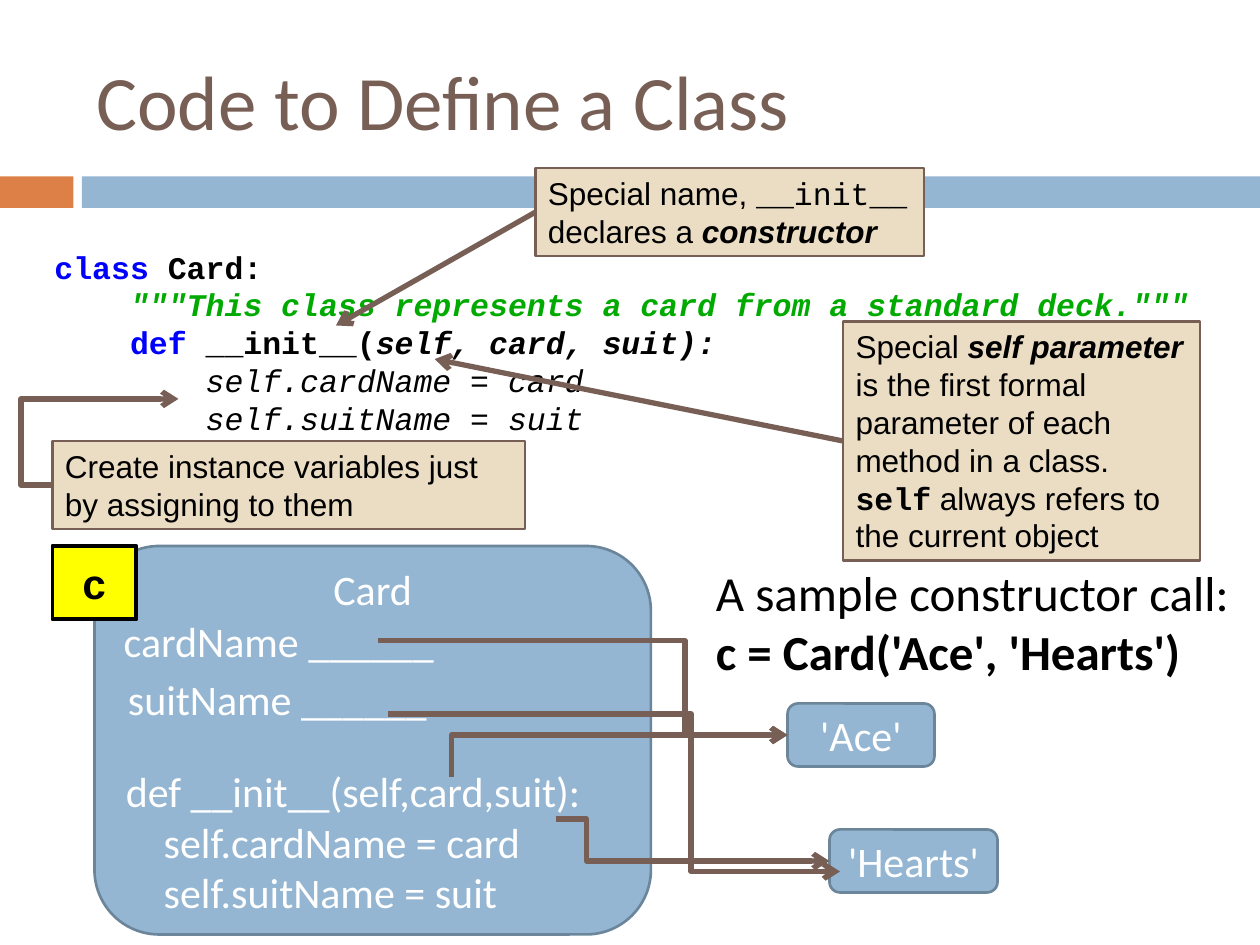
from dataclasses import dataclass

from lxml import etree
from pptx import Presentation
from pptx import util as u
from pptx.dml.color import RGBColor
from pptx.enum import shapes, text
from pptx.oxml.ns import qn

PX = 7620


@dataclass(frozen=True)
class Theme:
    """Colours, fonts and type sizes of the slide."""
    brown: str = "775F55"
    orange: str = "DD8047"
    blue: str = "94B6D2"
    edge: str = "6B859A"
    sand: str = "EBDDC3"
    yellow: str = "FFFF00"
    key: str = "0000FF"
    doc: str = "00AA00"
    black: str = "000000"
    white: str = "FFFFFF"
    head: str = "Calibri"
    body: str = "Arial"
    mono: str = "Courier New"
    huge: int = 44
    big: int = 28
    mid: int = 24
    small: int = 18


T = Theme()
KIND = shapes.MSO_SHAPE
LEFT, MID = text.PP_ALIGN.LEFT, text.PP_ALIGN.CENTER


def px(*nums):
    """Turn px lengths into EMU."""
    return [u.Emu(n * PX) for n in nums]


def inner(box, x, y, w, h):
    """Place a part relative to the corner of a box."""
    return box[0] + x, box[1] + y, w, h


def write(frame, paras, font, size, color, align=LEFT, mid=False):
    """Fill a frame with paragraphs made of (text, marks, colour) runs."""
    frame.word_wrap = True
    frame.vertical_anchor = text.MSO_ANCHOR.MIDDLE if mid else text.MSO_ANCHOR.TOP
    for n, runs in enumerate(paras):
        para = frame.add_paragraph() if n else frame.paragraphs[0]
        para.alignment = align
        for words, marks, *tint in runs:
            if words == "\n":
                para.add_line_break()
                continue
            run = para.add_run()
            run.text = words
            run.font.name = T.mono if "m" in marks else font
            run.font.size = u.Pt(size)
            run.font.bold = "b" in marks
            run.font.italic = "i" in marks
            run.font.color.rgb = RGBColor.from_string(tint[0] if tint else color)


def indent(para, gap):
    """Indent a paragraph by px."""
    para._p.get_or_add_pPr().set("marL", str(gap * PX))


def label(slide, box, paras, *style, **opts):
    """Add a text box and return its frame."""
    frame = slide.shapes.add_textbox(*px(*box)).text_frame
    write(frame, paras, *style, **opts)
    return frame


def block(slide, box, fill, line=None, width=1.5, kind=KIND.RECTANGLE):
    """Add a flat filled shape."""
    shape = slide.shapes.add_shape(kind, *px(*box))
    shape.shadow.inherit = False
    shape.fill.solid()
    shape.fill.fore_color.rgb = RGBColor.from_string(fill)
    if line:
        shape.line.color.rgb = RGBColor.from_string(line)
        shape.line.width = u.Pt(width)
    else:
        shape.line.fill.background()
    return shape


def arrow(slide, start, end, bend=None):
    """Add a straight arrow, or an elbow one bent at a share of its width."""
    form = shapes.MSO_CONNECTOR
    kind = form.STRAIGHT if bend is None else form.ELBOW
    link = slide.shapes.add_connector(kind, *px(*start, *end))
    link.line.color.rgb = RGBColor.from_string(T.brown)
    link.line.width = u.Pt(3)
    prop = link._element.spPr
    etree.SubElement(prop.find(qn("a:ln")), qn("a:tailEnd"), type="arrow")
    etree.SubElement(prop, qn("a:effectLst"))
    if bend is not None:
        geom = prop.find(qn("a:prstGeom"))
        vals = geom.find(qn("a:avLst"))
        if vals is None:
            vals = etree.SubElement(geom, qn("a:avLst"))
        etree.SubElement(vals, qn("a:gd"), name="adj1", fmla=f"val {round(bend * 100000)}")
    return link


def header(slide, box):
    """Draw the title and the two bars beneath it."""
    block(slide, inner(box, 0, 168, 70, 30), T.orange)
    block(slide, inner(box, 78, 168, box[2] - 78, 30), T.blue)
    label(slide, inner(box, 80, 30, 1070, 130), [[("Code to Define a Class", "")]],
          T.head, T.huge, T.brown, mid=True)


def code(slide, box):
    """Write the class listing."""
    lines = [
        (0, [("class ", "b", T.key), ("Card:", "b")]),
        (1, [('"""This class represents a card from a standard deck."""', "bi", T.doc)]),
        (1, [("def ", "b", T.key), ("__init__(", "b"), ("self, card, suit):", "bi")]),
        (2, [("self.cardName = card", "i")]),
        (2, [("self.suitName = suit", "i")]),
    ]
    frame = label(slide, box, [runs for _, runs in lines], T.mono, T.small, T.black)
    for para, (level, _) in zip(frame.paragraphs, lines):
        indent(para, level * 72)


def note(slide, box, runs, tip, bend=None):
    """Draw a callout with an arrow from its left side to a tip."""
    shape = block(slide, box, T.sand, T.brown)
    write(shape.text_frame, [runs], T.body, T.small, T.black)
    link = arrow(slide, (box[0], box[1] + box[3] // 2), tip, bend)
    if bend is None:
        link.begin_connect(shape, 1)


def pill(slide, box, paras, align=MID):
    """Draw a rounded blue box with text and return its frame."""
    shape = block(slide, box, T.blue, T.edge, kind=KIND.ROUNDED_RECTANGLE)
    write(shape.text_frame, paras, T.head, T.mid, T.white, align, mid=True)
    return shape.text_frame


def model(slide, box):
    """Draw the Card object, its values and the links between them."""
    lines = ["Card", "def __init__(self,card,suit):",
             "self.cardName = card", "self.suitName = suit"]
    frame = pill(slide, inner(box, 40, 0, 530, 370), [[(line, "")] for line in lines], LEFT)
    name, init, *steps = frame.paragraphs
    name.alignment = MID
    init.space_before = u.Pt(87)
    for step in steps:
        indent(step, 36)
    pill(slide, inner(box, 700, 150, 140, 60), [[("'Ace'", "")]])
    pill(slide, inner(box, 740, 270, 160, 60), [[("'Hearts'", "")]])
    for words, x, y in (("cardName ______", 56, 60), ("suitName ______", 60, 116)):
        label(slide, inner(box, x, y, 336, 60), [[(words, "")]], T.head, T.mid, T.white)
    for x, y, right, low, bend in ((380, 220, 700, 180, 0), (480, 260, 740, 300, 0.11),
                                   (310, 90, 700, 180, 0.75), (320, 160, 750, 310, 0.67)):
        arrow(slide, (box[0] + x, box[1] + y), (box[0] + right, box[1] + low), bend)
    badge = block(slide, inner(box, 0, 0, 80, 70), T.yellow, T.black, 2.25)
    write(badge.text_frame, [[("c", "b")]], T.mono, T.mid, T.black, MID, True)


def main():
    """Build and save the slide."""
    deck = Presentation()
    deck.slide_width, deck.slide_height = px(1200, 900)
    slide = deck.slides.add_slide(deck.slide_layouts[6])
    header(slide, (0, 0, 1200, 198))
    code(slide, (40, 230, 1110, 192))
    note(slide, (510, 160, 370, 84),
         [("Special name, ", ""), ("__init__", "m"), (" declares a ", ""),
          ("constructor", "bi")], (320, 310))
    note(slide, (803, 306, 340, 228),
         [("Special ", ""), ("self parameter", "bi"),
          (" is the first formal parameter of each method in a class.", ""), ("\n", ""),
          ("self", "bm"), (" always refers to the current object", "")], (414, 342))
    note(slide, (50, 420, 450, 84),
         [("Create instance variables just by assigning to them", "")], (170, 380), -0.25)
    label(slide, (670, 530, 520, 236),
          [[("A sample constructor call:", "")], [("c = Card('Ace', 'Hearts')", "b")]],
          T.head, T.big, T.black)
    model(slide, (50, 520, 900, 370))
    deck.save("out.pptx")


if __name__ == "__main__":
    main()
